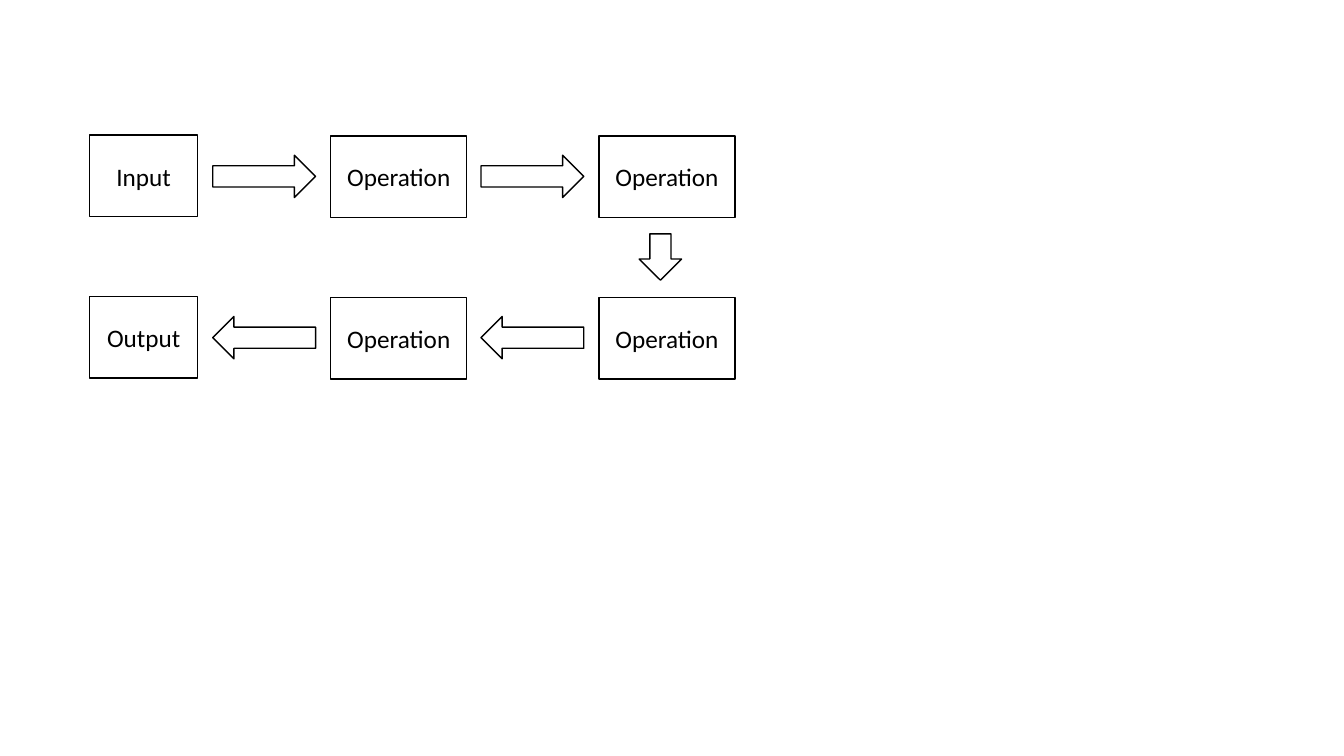
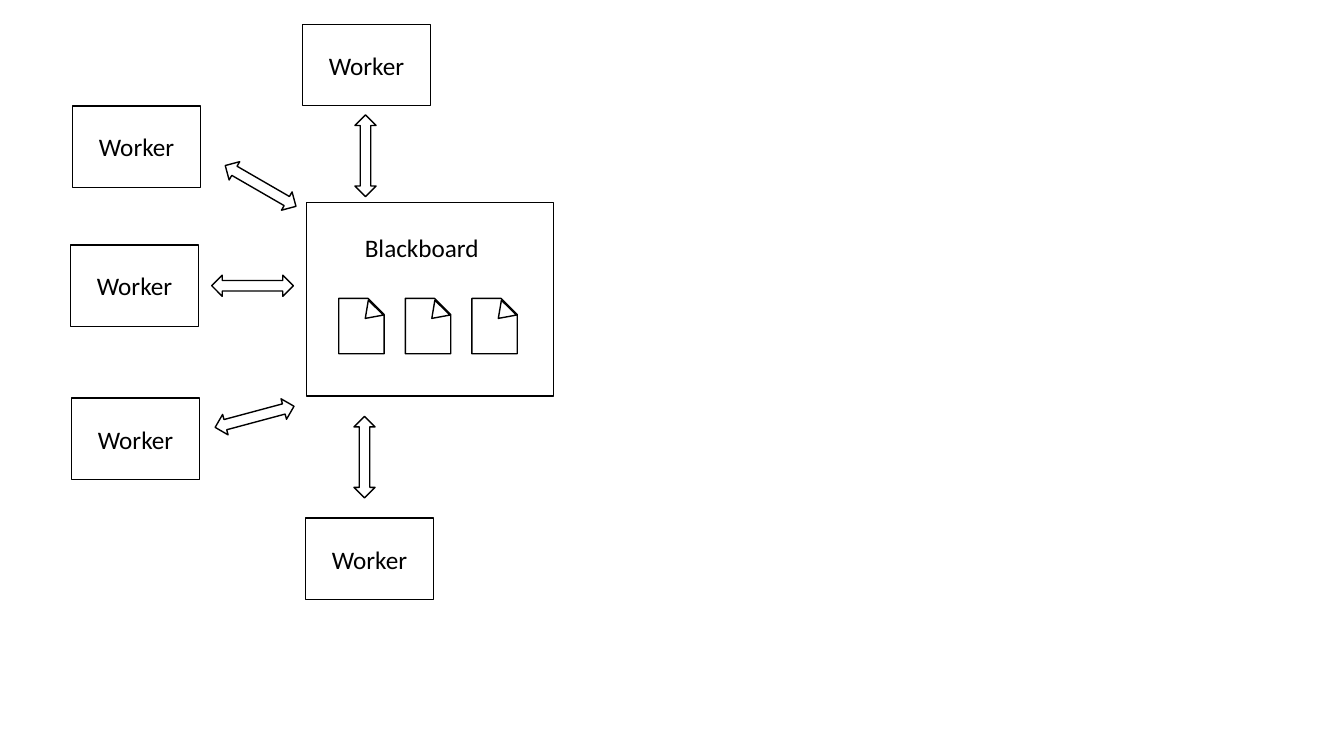
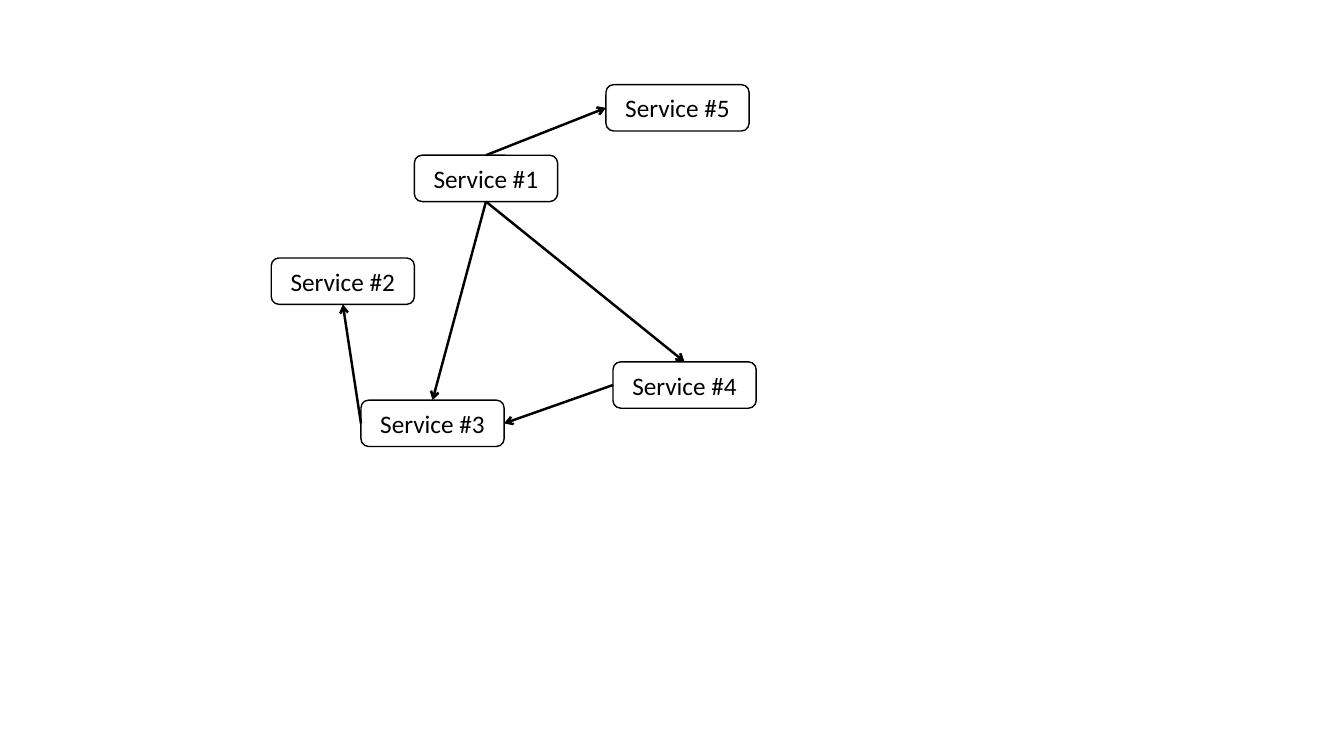
from pptx import Presentation
from pptx.dml.color import RGBColor
from pptx.enum.shapes import MSO_CONNECTOR as Link, MSO_SHAPE as Kind
from pptx.enum.text import MSO_ANCHOR as Anchor, PP_ALIGN as Align
from pptx.oxml.ns import qn
from pptx.util import Inches, Pt
from lxml.etree import SubElement

BLACK = RGBColor(0, 0, 0)
WHITE = RGBColor(255, 255, 255)
FONT = "Calibri"
SIZE = Pt(18)
TOP, LEFT, BOTTOM, RIGHT = range(4)  # connection sites of a box


def style(para):
    """Set the common font of a paragraph."""
    para.font.name = FONT
    para.font.size = SIZE
    para.font.color.rgb = BLACK


def draw(slide, kind, x, y, w, h, text="", turn=0, fill=None):
    """Add an outlined shape, with centred text if any is given."""
    shape = slide.shapes.add_shape(kind, Inches(x), Inches(y), Inches(w), Inches(h))
    shape.shadow.inherit = False
    shape.rotation = turn
    if fill is None:
        shape.fill.background()
    else:
        shape.fill.solid()
        shape.fill.fore_color.rgb = fill
    shape.line.color.rgb = BLACK
    shape.line.width = Pt(1)
    if text:
        frame = shape.text_frame
        frame.vertical_anchor = Anchor.MIDDLE
        para = frame.paragraphs[0]
        para.text = text
        para.alignment = Align.CENTER
        style(para)
    return shape


deck = Presentation()
deck.slide_width = Inches(13.33)
deck.slide_height = Inches(7.5)
blank = deck.slide_layouts[6]

# Slide 1: pipeline, out along the top row and back along the lower one
slide = deck.slides.add_slide(blank)
for y, first, turn in [(1.35, "Input", 0), (2.95, "Output", 180)]:
    draw(slide, Kind.RECTANGLE, 0.89, y - 0.01, 1.07, 0.81, first)
    for col in range(2):
        draw(slide, Kind.RIGHT_ARROW, 2.11 + 2.66 * col, y + 0.19, 1.02, 0.42, turn=turn)
        draw(slide, Kind.RECTANGLE, 3.28 + 2.66 * col, y, 1.35, 0.81, "Operation")
draw(slide, Kind.RIGHT_ARROW, 6.32, 2.34, 0.46, 0.42, turn=90)

# Slide 2: workers around a blackboard
slide = deck.slides.add_slide(blank)
draw(slide, Kind.RECTANGLE, 3.04, 2.01, 2.45, 1.92)
label = slide.shapes.add_textbox(Inches(3.52), Inches(2.26), Inches(1.34), Inches(0.4))
label.text_frame.word_wrap = False
para = label.text_frame.paragraphs[0]
para.text = "Blackboard"
style(para)

for col in range(3):
    x = 3.36 + 0.66 * col
    page = draw(slide, Kind.SNIP_1_RECTANGLE, x, 2.96, 0.45, 0.55, fill=WHITE)
    page.adjustments[0] = 0.357
    draw(slide, Kind.ISOSCELES_TRIANGLE, x + 0.21, 3.03, 0.21, 0.15, turn=224.6, fill=WHITE)

for x, y in [(3, 0.24), (0.72, 1.05), (0.7, 2.43), (0.71, 3.95), (3.03, 5.14)]:
    draw(slide, Kind.RECTANGLE, x, y, 1.27, 0.81, "Worker")
for x, y, turn in [(3.22, 1.44, 90), (3.21, 4.43, 90), (2.1, 2.73, 0),
                   (2.18, 1.74, 30), (2.12, 4.03, 345)]:
    draw(slide, Kind.LEFT_RIGHT_ARROW, x, y, 0.81, 0.21, turn=turn, fill=WHITE)

# Slide 3: services that call each other
slide = deck.slides.add_slide(blank)
spots = [(4.11, 1.54), (2.69, 2.56), (3.58, 3.97), (6.08, 3.59), (6.01, 0.84)]
nodes = {
    num: draw(slide, Kind.ROUNDED_RECTANGLE, x, y, 1.42, 0.46, f"Service #{num}", fill=WHITE)
    for num, (x, y) in enumerate(spots, 1)
}
calls = [(1, TOP, 5, LEFT), (1, BOTTOM, 4, TOP), (4, LEFT, 3, RIGHT),
         (1, BOTTOM, 3, TOP), (3, LEFT, 2, BOTTOM)]
for start, out, end, into in calls:
    call = slide.shapes.add_connector(Link.STRAIGHT, 0, 0, 0, 0)
    call.begin_connect(nodes[start], out)
    call.end_connect(nodes[end], into)
    call.line.color.rgb = BLACK
    call.line.width = Pt(1.75)
    SubElement(call.line._get_or_add_ln(), qn("a:tailEnd"), type="arrow")
    SubElement(call._element.spPr, qn("a:effectLst"))

deck.save("out.pptx")
